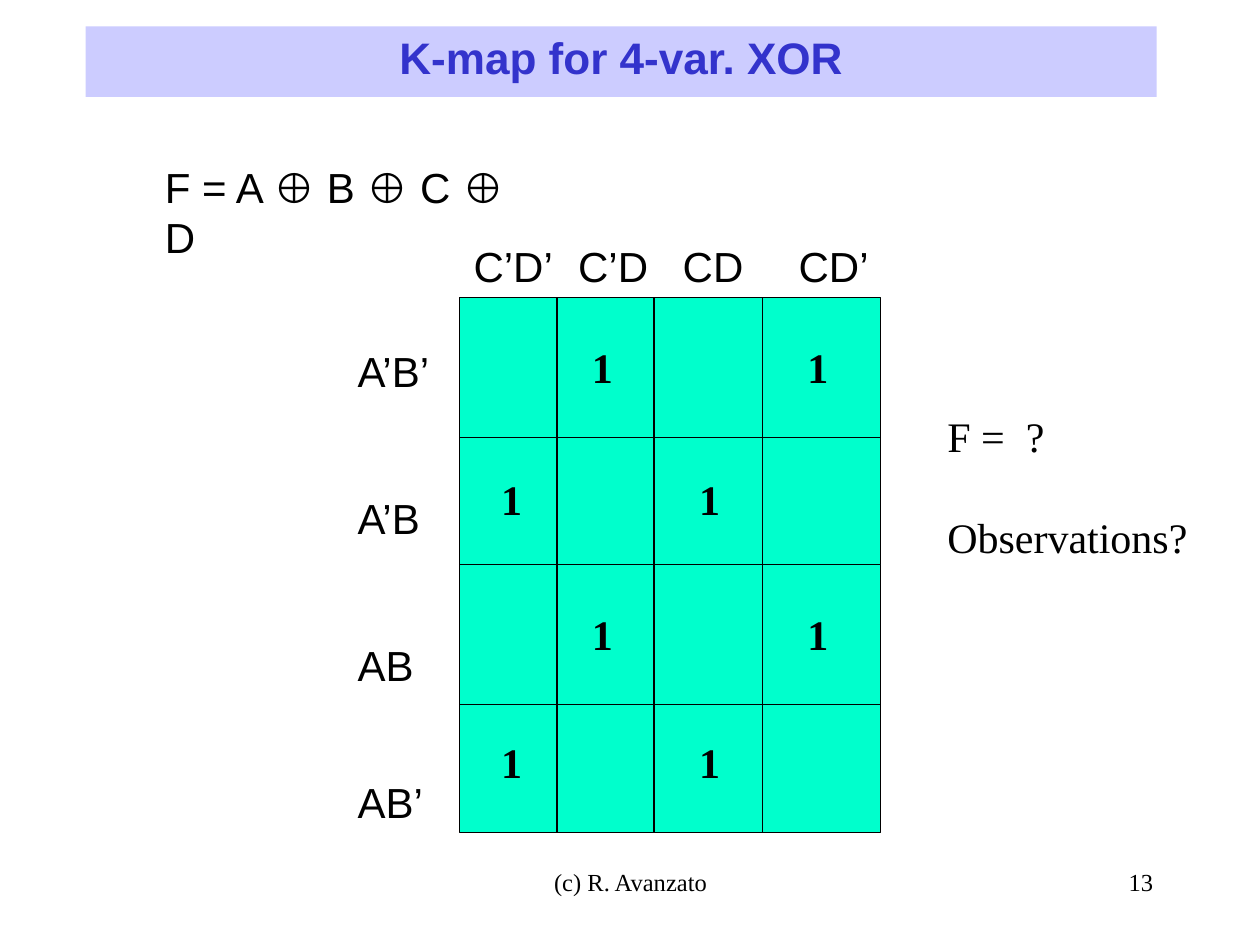
"""Build the slide with the Karnaugh map of a four-variable XOR."""
from lxml.etree import SubElement
from pptx import Presentation
from pptx.dml.color import RGBColor
from pptx.enum.shapes import MSO_CONNECTOR, MSO_SHAPE
from pptx.enum.text import MSO_ANCHOR, PP_ALIGN
from pptx.oxml.ns import qn
from pptx.util import Inches, Pt

BLACK = RGBColor(0x00, 0x00, 0x00)
BLUE = RGBColor(0x33, 0x33, 0xCC)
LAVENDER = RGBColor(0xCC, 0xCC, 0xFF)
GREEN = RGBColor(0x00, 0xFF, 0xCC)

SANS = {"name": "Arial", "size": Pt(24), "bold": False}
SERIF = {"name": "Times New Roman", "size": Pt(24), "bold": False}
ONE = {**SERIF, "bold": True}
SMALL = {**SERIF, "size": Pt(14)}
HEADING = {"name": "Arial", "size": Pt(25.2), "bold": True}

TITLE = "K-map for 4-var. XOR"
FORMULA = "F = A ⊕ B ⊕ C ⊕ D"
QUESTIONS = ["F =  ?", "Observations?"]
COLUMNS = [("C’D’", 3.66, 0.88), ("C’D", 4.49, 0.8), ("CD", 5.32, 0.73), ("CD’", 6.24, 0.8)]
ROWS = [("A’B’", 2.69, 0.84), ("A’B", 3.86, 0.77), ("AB", 5.03, 0.69), ("AB’", 6.11, 0.77)]
FOOTERS = [("(c) R. Avanzato", 3.42, 3.17, PP_ALIGN.CENTER), ("13", 7.17, 2.08, PP_ALIGN.RIGHT)]
KMAP = ["0101", "1010", "0101", "1010"]

X_EDGES = [3.65, 4.42, 5.19, 6.05, 6.99]
Y_EDGES = [2.36, 3.47, 4.48, 5.59, 6.61]
ONE_LEFTS = [3.88, 4.6, 5.45, 6.31]
ONE_TOPS = [2.66, 3.71, 4.78, 5.8]
LINE_H = 0.5


def write(tf, lines, style, color=BLACK, align=PP_ALIGN.LEFT, gap=0):
    for i, line in enumerate(lines):
        p = tf.paragraphs[0] if i == 0 else tf.add_paragraph()
        p.alignment = align
        if i:
            p.space_before = Pt(gap)
        r = p.add_run()
        r.text = line
        for key, value in style.items():
            setattr(r.font, key, value)
        r.font.color.rgb = color


def add_text(s, lines, box, style, wrap=False, **kw):
    tf = s.shapes.add_textbox(*map(Inches, box)).text_frame
    tf.word_wrap = wrap
    write(tf, lines, style, **kw)


def add_rect(s, box, fill):
    sp = s.shapes.add_shape(MSO_SHAPE.RECTANGLE, *map(Inches, box))
    sp.shadow.inherit = False
    sp.fill.solid()
    sp.fill.fore_color.rgb = fill
    return sp


def set_line(line):
    line.color.rgb = BLACK
    line.width = Pt(0.75)


def add_rule(s, *ends):
    cx = s.shapes.add_connector(MSO_CONNECTOR.STRAIGHT, *map(Inches, ends))
    set_line(cx.line)
    SubElement(cx._element.spPr, qn("a:effectLst"))


def add_kmap(s):
    left, right = X_EDGES[0], X_EDGES[-1]
    for i in (0, 2):
        top, middle, bottom = Y_EDGES[i:i + 3]
        set_line(add_rect(s, (left, top, right - left, bottom - top), GREEN).line)
        add_rule(s, left, middle, right, middle)
        for x in X_EDGES[1:-1]:
            add_rule(s, x, top, x, bottom)
    for top, row in zip(ONE_TOPS, KMAP):
        for x, value in zip(ONE_LEFTS, row):
            if value == "1":
                add_text(s, [value], (x, top, 0.36, LINE_H), ONE)


def main():
    prs = Presentation()
    prs.slide_width, prs.slide_height = Inches(10), Inches(7.5)
    s = prs.slides.add_slide(prs.slide_layouts[6])

    for text, x, w, align in FOOTERS:
        add_text(s, [text], (x, 6.83, w, LINE_H), SMALL, wrap=True, align=align)

    sp = add_rect(s, (0.68, 0.21, 8.5, 0.56), LAVENDER)
    sp.line.fill.background()
    tf = sp.text_frame
    tf.vertical_anchor = MSO_ANCHOR.MIDDLE
    write(tf, [TITLE], HEADING, color=BLUE, align=PP_ALIGN.CENTER)
    tf.paragraphs[0].line_spacing = 0.8

    add_text(s, [FORMULA], (1.21, 1.23, 3.06, LINE_H), SANS, wrap=True)
    for text, x, w in COLUMNS:
        add_text(s, [text], (x, 1.86, w, LINE_H), SANS)
    add_kmap(s)
    for text, y, w in ROWS:
        add_text(s, [text], (2.74, y, w, LINE_H), SANS)
    add_text(s, QUESTIONS, (7.42, 3.21, 2.2, 1.3), SERIF, gap=29)
    prs.save("out.pptx")


if __name__ == "__main__":
    main()
